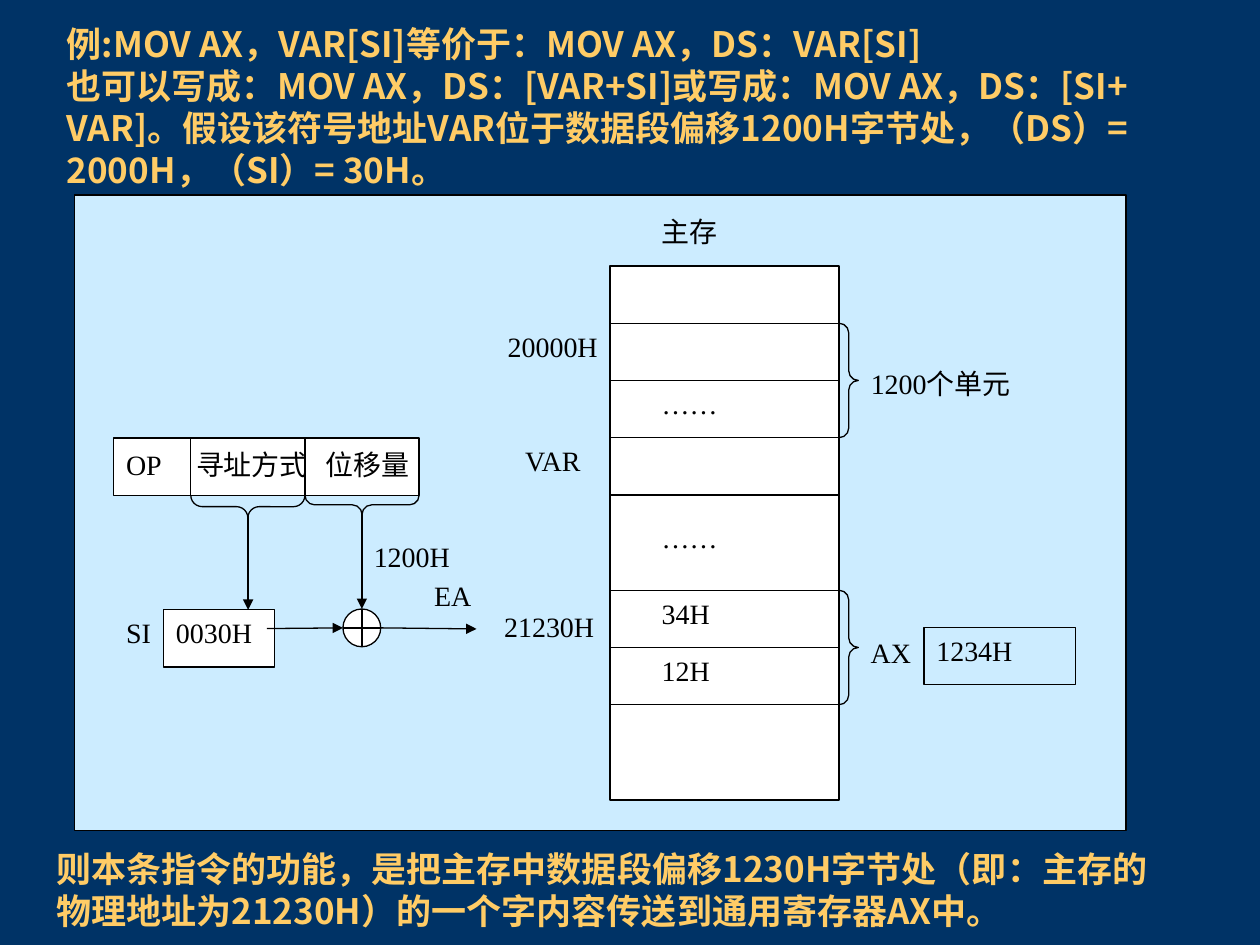
from lxml import etree
from pptx import Presentation
from pptx.dml.color import RGBColor
from pptx.enum.shapes import MSO_CONNECTOR, MSO_SHAPE
from pptx.enum.text import MSO_ANCHOR
from pptx.oxml.ns import qn
from pptx.util import Pt

RECT, OVAL, BRACE = MSO_SHAPE.RECTANGLE, MSO_SHAPE.OVAL, MSO_SHAPE.RIGHT_BRACE
STRAIGHT, TOP = MSO_CONNECTOR.STRAIGHT, MSO_ANCHOR.TOP
NAVY, GOLD, PALE, WHITE, BLACK = "003366", "FFCC66", "CCECFF", "FFFFFF", "000000"
SERIF, CJK = "Times New Roman", "Noto Sans CJK SC"
UNIT = 32.7  # height of one memory cell


def color(hex_code):
    return RGBColor.from_string(hex_code)


def add_text(text, left, top, width, height=UNIT, size=16, font=SERIF, ink=BLACK,
             bold=False, pitch=None, tabs=(), boxed=False, fill=None):
    """Add text in a plain box, or in an outlined rectangle if boxed."""
    frame = tuple(Pt(v) for v in (left, top, width, height))
    if boxed:
        holder = slide.shapes.add_shape(RECT, *frame)
        holder.shadow.inherit = False
        holder.line.color.rgb = color(BLACK)
        holder.line.width = Pt(0.75)
        if fill:
            holder.fill.solid()
            holder.fill.fore_color.rgb = color(fill)
        else:
            holder.fill.background()
    else:
        holder = slide.shapes.add_textbox(*frame)
    body = holder.text_frame
    body.word_wrap = True
    body.vertical_anchor = TOP
    for index, line in enumerate(text.split("\n")):
        paragraph = body.paragraphs[0] if index == 0 else body.add_paragraph()
        paragraph.alignment = 1
        if pitch:
            paragraph.line_spacing = Pt(pitch)
        if tabs:
            stops = etree.SubElement(paragraph._p.get_or_add_pPr(), qn("a:tabLst"))
            for stop in tabs:
                etree.SubElement(stops, qn("a:tab"), pos=str(Pt(stop)), algn="l")
        run = paragraph.add_run()
        run.text = line
        run.font.size = Pt(size)
        run.font.bold = bold
        run.font.color.rgb = color(ink)
        run.font.name = font
        etree.SubElement(run._r.get_or_add_rPr(), qn("a:ea"), typeface=CJK)


prs = Presentation()
prs.slide_width, prs.slide_height = Pt(720), Pt(540)
slide = prs.slides.add_slide(prs.slide_layouts[6])
slide.background.fill.solid()
slide.background.fill.fore_color.rgb = color(NAVY)

# Example and conclusion
prose = dict(size=20, font=CJK, ink=GOLD, bold=True, pitch=24)
add_text("例:MOV AX，VAR[SI]等价于：MOV AX，DS：VAR[SI]\n"
         "也可以写成：MOV AX，DS：[VAR+SI]或写成：MOV AX，DS：[SI+ VAR]。"
         "假设该符号地址VAR位于数据段偏移1200H字节处，（DS）= 2000H，（SI）= 30H。",
         31, 9.5, 666, 103.5, **prose)
add_text("则本条指令的功能，是把主存中数据段偏移1230H字节处（即：主存的物理地址为21230H）"
         "的一个字内容传送到通用寄存器AX中。", 25, 481, 657.5, 55.5, **prose)

# Memory rows and instruction fields
memory_left, memory_width, memory_top = 348.5, 131, 152
memory_right = memory_left + memory_width
row_edges = [memory_top]
for units in (1, 1, 1, 1, 5 / 3, 1, 1, 5 / 3):
    row_edges.append(row_edges[-1] + units * UNIT)
field_edges = [65, 109, 174.25, 239.5]
field_top = 250.3
field_bottom = field_top + UNIT
adder_x, adder_y, adder_radius = 206.8, 358.8, 10.8

# Panel, memory, instruction word and adder
for kind, left, top, width, height, fill in (
    (RECT, 42.5, 111.5, 601, 363, PALE),
    (RECT, memory_left, memory_top, memory_width, row_edges[-1] - memory_top, WHITE),
    (RECT, field_edges[0], field_top, field_edges[-1] - field_edges[0], UNIT, WHITE),
    (OVAL, adder_x - adder_radius, adder_y - adder_radius,
     2 * adder_radius, 2 * adder_radius, WHITE),
):
    part = slide.shapes.add_shape(kind, Pt(left), Pt(top), Pt(width), Pt(height))
    part.shadow.inherit = False
    part.fill.solid()
    part.fill.fore_color.rgb = color(fill)
    part.line.color.rgb = color(BLACK)
    part.line.width = Pt(0.75)

# Registers
add_text("0030H", 93.5, 348.5, 63.5, boxed=True, fill=WHITE)
add_text("1234H", 528, 358.5, 86.5, boxed=True)

# Labels
add_text("OP\t寻址方式\t位移量", 65, 252, 185, tabs=(40, 114))
for label, left, top, width in (
    ("主存", 371, 119, 76),
    ("……", 371, row_edges[2], 87),
    ("……", 371, 294, 87),
    ("34H", 371, row_edges[5], 87),
    ("12H", 371, row_edges[6], 87),
    ("20000H", 283, row_edges[1], 71),
    ("VAR", 293, row_edges[3], 65.5),
    ("21230H", 281, 345, 71),
    ("1200个单元", 490.5, 206, 98),
    ("AX", 490.5, 359.5, 45),
    ("SI", 65, 348.5, 44),
    ("1200H", 206.5, 304.5, 65.5),
    ("EA", 241, 327, 44),
):
    add_text(label, left, top, width)

# Braces: centre, depth, length, rotation
memory_braces = [(memory_right + 5.5, (row_edges[first] + row_edges[first + 2]) / 2,
                  11, 2 * UNIT, 0) for first in (1, 5)]
field_braces = [((field_edges[i] + field_edges[i + 1]) / 2, field_bottom + depth / 2,
                 depth, field_edges[i + 1] - field_edges[i], 90)
                for i, depth in ((1, 13), (2, 11))]
for x, y, depth, length, rotation in memory_braces + field_braces:
    brace = slide.shapes.add_shape(BRACE, Pt(x - depth / 2), Pt(y - length / 2),
                                   Pt(depth), Pt(length))
    brace.shadow.inherit = False
    brace.rotation = rotation
    brace.adjustments[0] = 0.5
    brace.fill.background()
    brace.line.color.rgb = color(BLACK)
    brace.line.width = Pt(0.75)

# Dividers, the plus sign and the data flow
dividers = [(memory_left, y, memory_right, y) for y in row_edges[1:-1]]
dividers += [(x, field_top, x, field_bottom) for x in field_edges[1:-1]]
plus = [(adder_x - adder_radius, adder_y, adder_x + adder_radius, adder_y),
        (adder_x, adder_y - adder_radius, adder_x, adder_y + adder_radius)]
flows = [(152.5, 359.2, adder_x - adder_radius, adder_y),
         (adder_x + adder_radius, adder_y, 272.3, 359.4),
         (141.8, 294.5, 141.8, 348.5),
         (adder_x, 294, adder_x, adder_y - adder_radius)]
for ends in dividers + plus + flows:
    stroke = slide.shapes.add_connector(STRAIGHT, *(Pt(v) for v in ends))
    stroke.line.color.rgb = color(BLACK)
    stroke.line.width = Pt(0.75)
    if ends in flows:
        etree.SubElement(stroke.line._get_or_add_ln(), qn("a:tailEnd"), type="triangle")
    etree.SubElement(stroke._element.spPr, qn("a:effectLst"))

prs.save("out.pptx")
